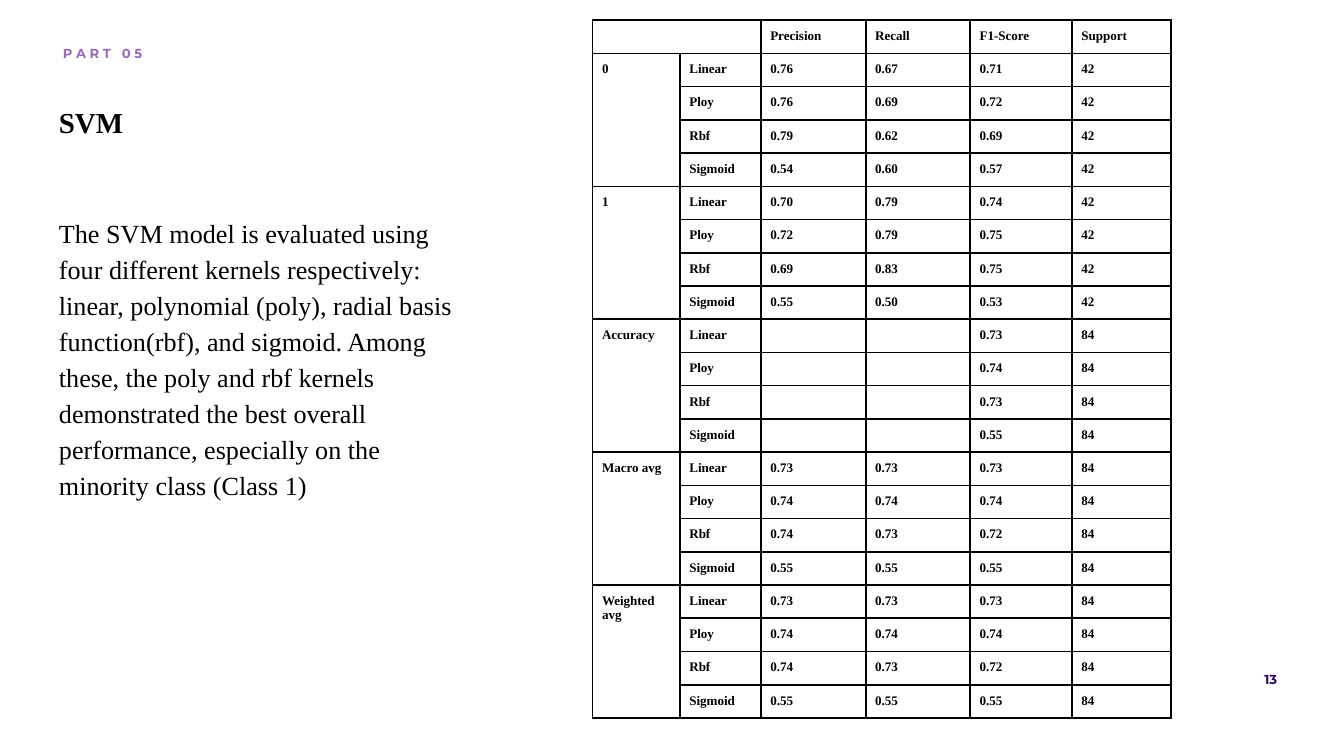
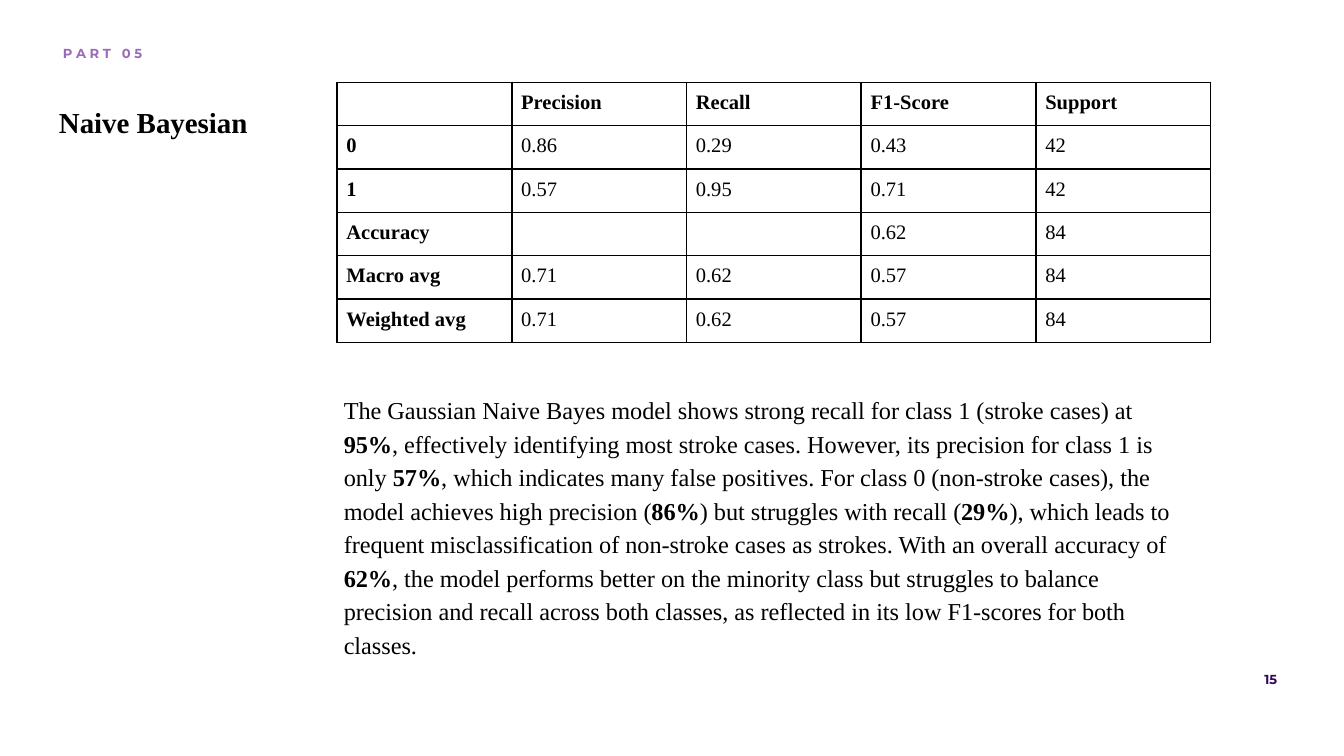
import dataclasses
import typing

import lxml.etree
import pptx
import pptx.dml.color
import pptx.enum.text
import pptx.oxml.ns
import pptx.util

PX = 2286
WIDE, HIGH = 4000, 2250
INK = {"text": "000000", "part": "9A6ABA", "page": "330662", "back": "FFFFFF"}
SERIF, SANS = "Times New Roman", "Montserrat"
LEFT = pptx.enum.text.PP_ALIGN.LEFT
RIGHT = pptx.enum.text.PP_ALIGN.RIGHT
HEADS = ["Precision", "Recall", "F1-Score", "Support"]
KINDS = ["Linear", "Ploy", "Rbf", "Sigmoid"]
SCORES = {
    "0": ["0.76 0.67 0.71 42", "0.76 0.69 0.72 42", "0.79 0.62 0.69 42", "0.54 0.60 0.57 42"],
    "1": ["0.70 0.79 0.74 42", "0.72 0.79 0.75 42", "0.69 0.83 0.75 42", "0.55 0.50 0.53 42"],
    "Accuracy": ["0.73 84", "0.74 84", "0.73 84", "0.55 84"],
    "Macro avg": ["0.73 0.73 0.73 84", "0.74 0.74 0.74 84", "0.74 0.73 0.72 84", "0.55 0.55 0.55 84"],
}
SCORES["Weighted avg"] = SCORES["Macro avg"]
BAYES = {
    "0": "0.86 0.29 0.43 42",
    "1": "0.57 0.95 0.71 42",
    "Accuracy": "0.62 84",
    "Macro avg": "0.71 0.62 0.57 84",
    "Weighted avg": "0.71 0.62 0.57 84",
}
KERNELS = (
    "The SVM model is evaluated using four different kernels respectively: linear, "
    "polynomial (poly), radial basis function(rbf), and sigmoid. Among these, the poly "
    "and rbf kernels demonstrated the best overall performance, especially on the "
    "minority class (Class 1)"
)
STROKES = (
    "The Gaussian Naive Bayes model shows strong recall for class 1 (stroke cases) at "
    "**95%**, effectively identifying most stroke cases. However, its precision for class 1 "
    "is only **57%**, which indicates many false positives. For class 0 (non-stroke cases), "
    "the model achieves high precision (**86%**) but struggles with recall (**29%**), which "
    "leads to frequent misclassification of non-stroke cases as strokes. With an overall "
    "accuracy of **62%**, the model performs better on the minority class but struggles to "
    "balance precision and recall across both classes, as reflected in its low F1-scores "
    "for both classes."
)


@dataclasses.dataclass(frozen=True)
class Style:
    """Look of a piece of text."""

    size: float
    face: str = SERIF
    ink: str = "text"
    bold: bool = False
    align: typing.Any = LEFT
    lead: float = 1.0
    gap: int = 0


@dataclasses.dataclass(frozen=True)
class Block:
    """Text box; double stars switch bold on and off."""

    x: int
    y: int
    w: int
    h: int
    text: str
    style: Style


@dataclasses.dataclass(frozen=True)
class Grid:
    """Ruled table with its merges as (row, col, last row, last col)."""

    x: int
    y: int
    cols: list[int]
    row: int
    rows: list[list[str]]
    size: float
    heavy: bool
    spans: list[tuple[int, int, int, int]]


@dataclasses.dataclass(frozen=True)
class Page:
    """Content of one slide."""

    title: str
    number: str
    body: Block
    grid: Grid


TITLE = Style(15.5, bold=True, lead=1.15)
PART = Style(7, SANS, "part", True)
FOOT = Style(7, SANS, "page", True, RIGHT)


def emu(px: int) -> int:
    """Turn px into EMU."""
    return pptx.util.Emu(px * PX)


def paint(run: typing.Any, style: Style, bold: bool) -> None:
    """Format one run."""
    run.font.size = pptx.util.Pt(style.size)
    run.font.name = style.face
    run.font.bold = bold
    run.font.color.rgb = pptx.dml.color.RGBColor.from_string(INK[style.ink])


def write(slide: typing.Any, block: Block) -> None:
    """Draw a text box."""
    box = slide.shapes.add_textbox(*map(emu, (block.x, block.y, block.w, block.h)))
    frame = box.text_frame
    frame.word_wrap = True
    for side in ("left", "top", "right", "bottom"):
        setattr(frame, f"margin_{side}", emu(40))
    style, para = block.style, frame.paragraphs[0]
    para.alignment = style.align
    para.line_spacing = style.lead
    para.space_before = para.space_after = pptx.util.Pt(style.gap)
    for step, part in enumerate(block.text.split("**")):
        run = para.add_run()
        run.text = part
        paint(run, style, style.bold or step % 2 == 1)


def rule(cell: typing.Any) -> None:
    """Draw the four borders of a cell."""
    props = cell._tc.get_or_add_tcPr()
    name = pptx.oxml.ns.qn
    for spot, side in enumerate(("lnL", "lnR", "lnT", "lnB")):
        line = lxml.etree.Element(name(f"a:{side}"), w=str(pptx.util.Pt(1)))
        fill = lxml.etree.SubElement(line, name("a:solidFill"))
        lxml.etree.SubElement(fill, name("a:srgbClr"), val=INK["text"])
        props.insert(spot, line)


def fill(cell: typing.Any, text: str, style: Style) -> None:
    """Set the text and look of a cell."""
    cell.margin_left = cell.margin_right = emu(28)
    cell.margin_top = cell.margin_bottom = emu(26)
    cell.fill.background()
    rule(cell)
    para = cell.text_frame.paragraphs[0]
    if text:
        para.text = text
        paint(para.runs[0], style, style.bold)
    else:
        size = str(int(style.size * 100))
        lxml.etree.SubElement(para._p, pptx.oxml.ns.qn("a:endParaRPr"), sz=size)


def tabulate(slide: typing.Any, grid: Grid) -> None:
    """Draw a table."""
    count = len(grid.rows)
    area = (grid.x, grid.y, sum(grid.cols), grid.row * count)
    table = slide.shapes.add_table(count, len(grid.cols), *map(emu, area)).table
    table.first_row = table.horz_banding = False
    for col, width in zip(table.columns, grid.cols):
        col.width = emu(width)
    for r, row in enumerate(grid.rows):
        table.rows[r].height = emu(grid.row)
        for c, text in enumerate(row):
            bold = grid.heavy or r == 0 or c == 0
            fill(table.cell(r, c), text, Style(grid.size, bold=bold))
    for top, left, low, right in grid.spans:
        table.cell(top, left).merge(table.cell(low, right))


def pad(line: str) -> list[str]:
    """Align scores to the right-hand columns."""
    vals = line.split()
    return [""] * (len(HEADS) - len(vals)) + vals


def pages() -> list[Page]:
    """Describe the slides."""
    step = len(KINDS)
    deep = [["", "", *HEADS]]
    spans = [(0, 0, 0, 1)]
    for label, lines in SCORES.items():
        top = len(deep)
        spans.append((top, 0, top + step - 1, 0))
        for n, (kind, line) in enumerate(zip(KINDS, lines)):
            deep.append(["" if n else label, kind, *pad(line)])
    flat = [["", *HEADS]] + [[label, *pad(line)] for label, line in BAYES.items()]
    return [
        Page(
            "SVM", "13",
            Block(136, 592, 1312, 932, KERNELS, Style(14, lead=1.15, gap=12)),
            Grid(1764, 60, [260, 241, 312, 311, 303, 294], 99, deep, 7, True, spans),
        ),
        Page(
            "Naive Bayesian", "15",
            Block(984, 1124, 2600, 872, STROKES, Style(13, lead=1.15)),
            Grid(1003, 245, [520] * 5, 129, flat, 11, False, []),
        ),
    ]


def draw(deck: typing.Any, page: Page) -> None:
    """Draw one slide."""
    slide = deck.slides.add_slide(deck.slide_layouts[6])
    back = slide.background.fill
    back.solid()
    back.fore_color.rgb = pptx.dml.color.RGBColor.from_string(INK["back"])
    write(slide, Block(2004, 1976, 1836, 136, page.number, FOOT))
    write(slide, Block(136, 256, 2864, 288, page.title, TITLE))
    write(slide, Block(148, 112, 1064, 136, "P A R T   0 5", PART))
    write(slide, page.body)
    tabulate(slide, page.grid)


def main() -> None:
    """Build and save the deck."""
    deck = pptx.Presentation()
    deck.slide_width, deck.slide_height = emu(WIDE), emu(HIGH)
    for page in pages():
        draw(deck, page)
    deck.save("out.pptx")


if __name__ == "__main__":
    main()
